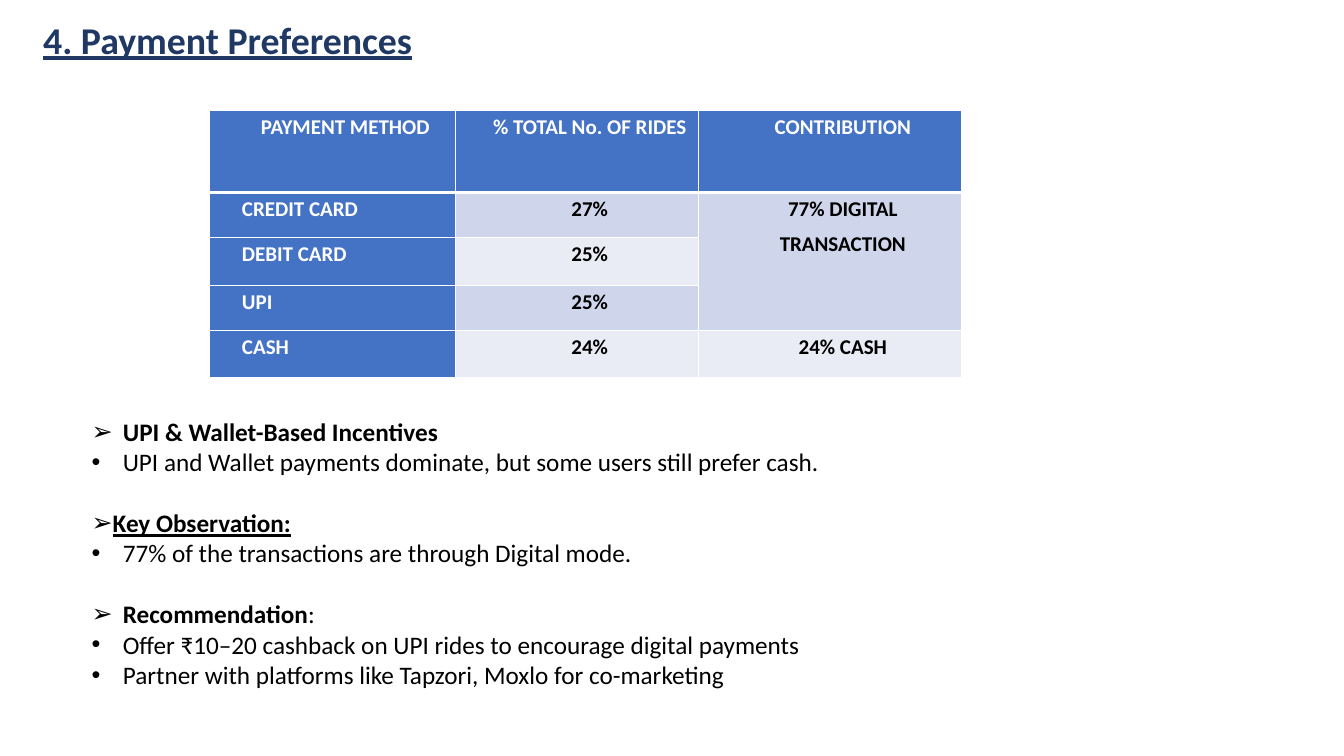
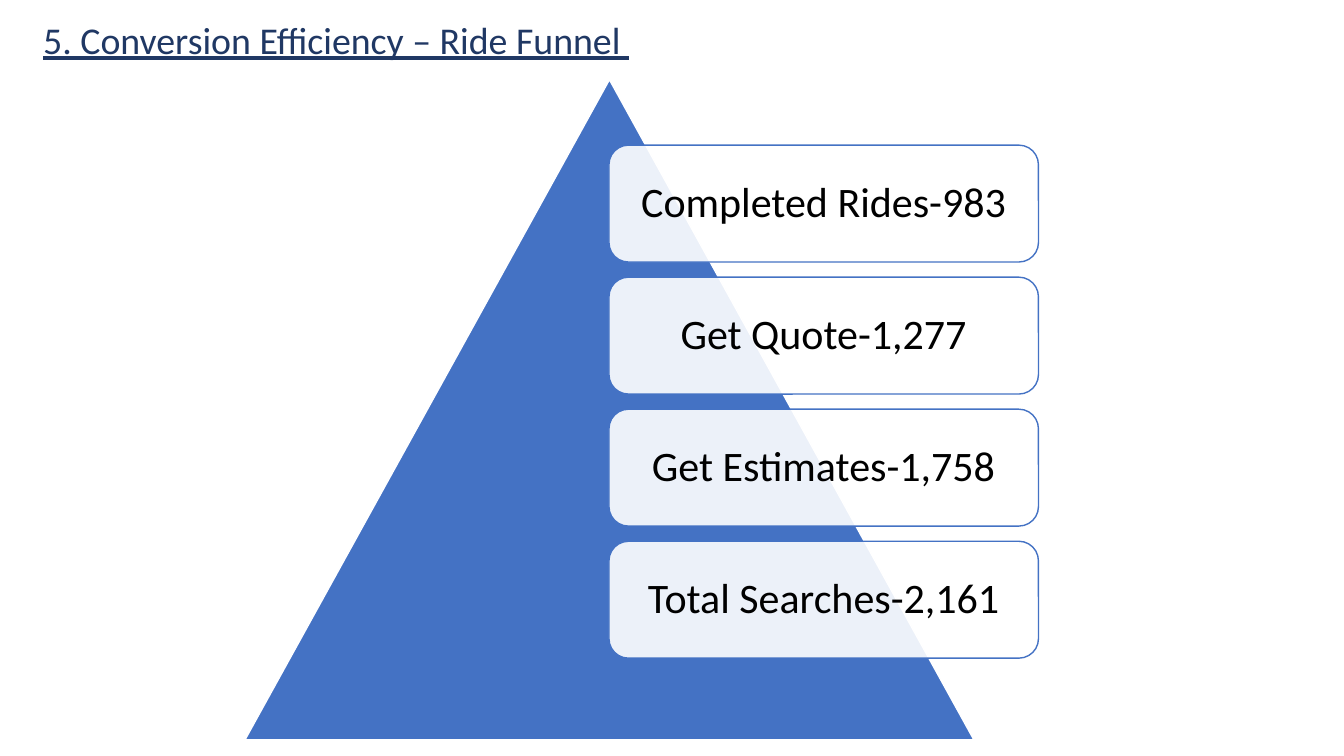
from dataclasses import dataclass

from lxml.etree import SubElement
from pptx import Presentation
from pptx.dml.color import RGBColor
from pptx.enum.shapes import MSO_SHAPE
from pptx.enum.text import MSO_ANCHOR, PP_ALIGN
from pptx.oxml import parse_xml
from pptx.oxml.ns import nsdecls, qn
from pptx.util import Inches, Pt


@dataclass(frozen=True)
class Theme:
    font: str = "Calibri"
    navy: str = "203864"
    blue: str = "4472C4"
    white: str = "FFFFFF"
    black: str = "000000"
    dark_band: str = "CFD5EA"
    light_band: str = "E9EBF5"
    title: float = 27
    cell: float = 15
    body: float = 18
    step: float = 30


THEME = Theme()

HEADS = ["PAYMENT METHOD", "% TOTAL No. OF RIDES", "CONTRIBUTION"]
SHARES = [("CREDIT CARD", "27%"), ("DEBIT CARD", "25%"),
          ("UPI", "25%"), ("CASH", "24%")]
COLS = [2.44, 2.41, 2.61]
ROWS = [0.81, 0.45, 0.47, 0.45, 0.47]

# Each block: heading, its tail, underlined, indent, points
BLOCKS = [
    ("UPI & Wallet-Based Incentives", "", False, 0.31,
     ["UPI and Wallet payments dominate, but some users still prefer cash."]),
    ("Key Observation:", "", True, 0,
     ["77% of the transactions are through Digital mode."]),
    ("Recommendation", ":", False, 0.31,
     ["Offer ₹10–20 cashback on UPI rides to encourage digital payments",
      "Partner with platforms like Tapzori, Moxlo for co-marketing"]),
]
STEPS = ["Completed Rides-983", "Get Quote-1,277",
         "Get Estimates-1,758", "Total Searches-2,161"]


def rgb(color):
    return RGBColor.from_string(color)


def add_run(para, text, size, color=THEME.black, bold=False, line=False):
    run = para.add_run()
    run.text = text
    font = run.font
    font.name, font.size, font.bold = THEME.font, Pt(size), bold
    font.underline = line
    font.color.rgb = rgb(color)


def set_indent(para, left, first):
    props = para._p.get_or_add_pPr()
    props.set("marL", str(Inches(left)))
    props.set("indent", str(Inches(first)))
    return props


def add_box(slide, left, top, width, height):
    frame = slide.shapes.add_textbox(
        Inches(left), Inches(top), Inches(width), Inches(height)).text_frame
    frame.word_wrap = True
    return frame


def add_title(slide, text, bold):
    frame = add_box(slide, 0.33, 0.16, 11.5, 0.51)
    frame.vertical_anchor = MSO_ANCHOR.MIDDLE
    para = frame.paragraphs[0]
    para.line_spacing = 0.9
    add_run(para, text, THEME.title, THEME.navy, bold, line=True)


def set_edges(cell, base):
    """Draw white cell borders, the bottom one in the given width."""
    props = cell._tc.get_or_add_tcPr()
    for spot, side in enumerate("LRTB"):
        width = Pt(base if side == "B" else 1)
        props.insert(spot, parse_xml(
            f'<a:ln{side} {nsdecls("a")} w="{width}"><a:solidFill>'
            f'<a:srgbClr val="{THEME.white}"/></a:solidFill></a:ln{side}>'))


def style_cell(cell, fill, base):
    cell.fill.solid()
    cell.fill.fore_color.rgb = rgb(fill)
    cell.margin_left = cell.margin_right = Inches(0.07)
    cell.margin_top = cell.margin_bottom = 0
    set_edges(cell, base)


def fill_cell(cell, lines, color, align=PP_ALIGN.CENTER):
    frame = cell.text_frame
    for num, text in enumerate(lines):
        para = frame.add_paragraph() if num else frame.paragraphs[0]
        para.alignment = align
        para.line_spacing = 1.15
        para.space_before = Pt(4)
        set_indent(para, 0.5, -0.25)
        add_run(para, text, THEME.cell, color, bold=True)


def add_grid(slide):
    table = slide.shapes.add_table(
        len(ROWS), len(COLS), Inches(2.08), Inches(1.1),
        Inches(sum(COLS)), Inches(sum(ROWS))).table
    for col, width in zip(table.columns, COLS):
        col.width = Inches(width)
    for row, height in zip(table.rows, ROWS):
        row.height = Inches(height)
    for r in range(len(ROWS)):
        band = THEME.dark_band if r % 2 else THEME.light_band
        for c in range(len(COLS)):
            fill = THEME.blue if r == 0 or c == 0 else band
            style_cell(table.cell(r, c), fill, 1 if r else 3)
    for c, head in enumerate(HEADS):
        fill_cell(table.cell(0, c), [head], THEME.white)
    for r, (name, share) in enumerate(SHARES, 1):
        fill_cell(table.cell(r, 0), [name], THEME.white, PP_ALIGN.JUSTIFY)
        fill_cell(table.cell(r, 1), [share], THEME.black)
    table.cell(1, 2).merge(table.cell(3, 2))
    fill_cell(table.cell(1, 2), ["77% DIGITAL", "TRANSACTION"], THEME.black)
    fill_cell(table.cell(4, 2), ["24% CASH"], THEME.black)


def add_bullet(para, mark, indent=0.31):
    props = set_indent(para, indent, -indent)
    SubElement(props, qn("a:buFont"), typeface="Arial")
    SubElement(props, qn("a:buChar"), char=mark)


def add_notes(slide):
    frame = add_box(slide, 0.81, 4.08, 10.62, 3.4)
    for num, (head, tail, line, indent, points) in enumerate(BLOCKS):
        para = frame.add_paragraph() if num else frame.paragraphs[0]
        para.space_before = Pt(22 if num else 0)
        add_bullet(para, "➢", indent)
        add_run(para, head, THEME.body, bold=True, line=line)
        if tail:
            add_run(para, tail, THEME.body)
        for point in points:
            para = frame.add_paragraph()
            add_bullet(para, "•")
            add_run(para, point, THEME.body)


def add_form(slide, kind, place, fill, edge):
    form = slide.shapes.add_shape(kind, *map(Inches, place))
    form.shadow.inherit = False
    form.fill.solid()
    form.fill.fore_color.rgb = rgb(fill)
    form.line.color.rgb = rgb(edge)
    form.line.width = Pt(1)
    return form


def add_step(slide, text, top):
    form = add_form(slide, MSO_SHAPE.ROUNDED_RECTANGLE,
                    (6.04, top, 4.26, 1.16), THEME.white, THEME.blue)
    tint = form.fill._xPr.find(qn("a:solidFill"))[0]
    SubElement(tint, qn("a:alpha"), val="90000")
    frame = form.text_frame
    frame.word_wrap = True
    frame.vertical_anchor = MSO_ANCHOR.MIDDLE
    frame.margin_left = frame.margin_right = Inches(0.18)
    para = frame.paragraphs[0]
    para.alignment = PP_ALIGN.CENTER
    para.line_spacing = 0.9
    add_run(para, text, THEME.step)


def add_funnel(slide):
    add_form(slide, MSO_SHAPE.ISOSCELES_TRIANGLE,
             (2.43, 0.79, 7.23, 6.55), THEME.blue, THEME.white)
    for num, text in enumerate(STEPS):
        add_step(slide, text, 1.44 + num * 1.31)


def main():
    deck = Presentation()
    deck.slide_width, deck.slide_height = Inches(13.33), Inches(7.5)
    blank = deck.slide_layouts[6]

    slide = deck.slides.add_slide(blank)
    add_title(slide, "4. Payment Preferences", bold=True)
    add_grid(slide)
    add_notes(slide)

    slide = deck.slides.add_slide(blank)
    add_title(slide, "5. Conversion Efficiency – Ride Funnel ", bold=False)
    add_funnel(slide)

    deck.save("out.pptx")


if __name__ == "__main__":
    main()
